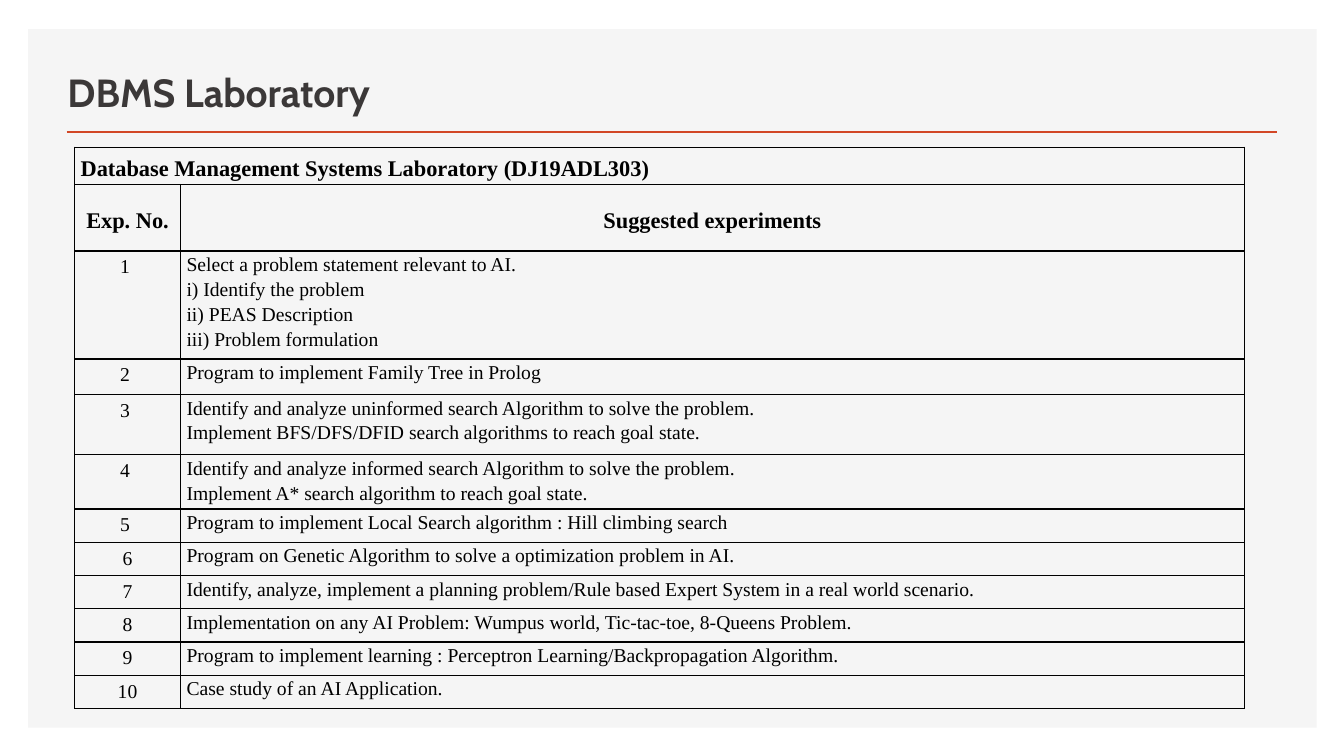
from dataclasses import dataclass

from lxml.etree import SubElement
from pptx import Presentation
from pptx.dml.color import RGBColor
from pptx.enum.shapes import MSO_CONNECTOR, MSO_SHAPE
from pptx.enum.text import MSO_ANCHOR, PP_ALIGN
from pptx.oxml.ns import qn
from pptx.util import Emu, Pt

SCALE = 9144
HUES = {"panel": "F5F5F5", "rule": "D24726", "title": "3B3838", "ink": "000000"}
SERIF = "Times New Roman"
PAD = 6


@dataclass
class Row:
    label: str
    lines: list[str]
    height: int = 33


ROWS = [
    Row("1 ", ["Select a problem statement relevant to AI.", "i) Identify the problem",
               "ii) PEAS Description", "iii) Problem formulation"], 60),
    Row("2 ", ["Program to implement Family Tree in Prolog"], 35),
    Row("3 ", ["Identify and analyze uninformed search Algorithm to solve the problem.",
               "Implement BFS/DFS/DFID search algorithms to reach goal state."], 60),
    Row("4 ", ["Identify and analyze informed search Algorithm to solve the problem.",
               "Implement A* search algorithm to reach goal state."]),
    Row("5 ", ["Program to implement Local Search algorithm : Hill climbing search"]),
    Row("6", ["Program on Genetic Algorithm to solve a optimization problem in AI."]),
    Row("7", ["Identify, analyze, implement a planning problem/Rule based Expert System "
              "in a real world scenario."]),
    Row("8", ["Implementation on any AI Problem: Wumpus world, Tic-tac-toe, 8-Queens Problem."]),
    Row("9", ["Program to implement learning : Perceptron Learning/Backpropagation Algorithm."]),
    Row("10", ["Case study of an AI Application."]),
]


def px(size: int) -> Emu:
    return Emu(size * SCALE)


def color(name: str) -> RGBColor:
    return RGBColor.from_string(HUES[name])


def write(frame, lines: list[str], *, size: int = 14, bold: bool = False, font: str = SERIF,
          hue: str = "ink", align=PP_ALIGN.LEFT, space: float = 1.0) -> None:
    for i, line in enumerate(lines):
        para = frame.paragraphs[0] if i == 0 else frame.add_paragraph()
        para.alignment = align
        para.line_spacing = space
        run = para.add_run()
        run.text = line
        run.font.size = Pt(size)
        run.font.bold = bold
        run.font.name = font
        run.font.color.rgb = color(hue)


def border(cell) -> None:
    props = cell._tc.get_or_add_tcPr()
    for side in ("a:lnL", "a:lnR", "a:lnT", "a:lnB"):
        line = SubElement(props, qn(side), w=str(Pt(1)))
        fill = SubElement(line, qn("a:solidFill"))
        SubElement(fill, qn("a:srgbClr"), val=HUES["ink"])


def style(cell, anchor) -> None:
    border(cell)
    cell.fill.background()
    cell.margin_left = cell.margin_right = px(PAD)
    cell.margin_top = cell.margin_bottom = 0
    cell.vertical_anchor = anchor


def frame(slide) -> None:
    panel = slide.shapes.add_shape(MSO_SHAPE.RECTANGLE, px(28), px(29), px(1278), px(693))
    panel.shadow.inherit = False
    panel.fill.solid()
    panel.fill.fore_color.rgb = color("panel")
    panel.line.fill.background()

    rule = slide.shapes.add_connector(MSO_CONNECTOR.STRAIGHT, px(66), px(131), px(1267), px(131))
    rule.line.color.rgb = color("rule")
    rule.line.width = Pt(2)
    SubElement(rule._element.spPr, qn("a:effectLst"))

    title = slide.shapes.add_textbox(px(57), px(61), px(1264), px(58)).text_frame
    title.word_wrap = True
    title.vertical_anchor = MSO_ANCHOR.BOTTOM
    write(title, ["DBMS Laboratory"], size=28, bold=True, font="Cabin", hue="title")


def chart(slide) -> None:
    tall = [37, 66] + [row.height for row in ROWS]
    wide = [105, 1055]
    table = slide.shapes.add_table(len(tall), len(wide), px(74), px(146),
                                   px(sum(wide)), px(sum(tall))).table
    table.first_row = table.horz_banding = False
    for col, width in zip(table.columns, wide):
        col.width = px(width)
    for i, height in enumerate(tall):
        table.rows[i].height = px(height)
        for cell in table.rows[i].cells:
            style(cell, MSO_ANCHOR.MIDDLE if i < 2 else MSO_ANCHOR.TOP)

    table.cell(0, 0).merge(table.cell(0, 1))
    write(table.cell(0, 0).text_frame, ["Database Management Systems Laboratory (DJ19ADL303)"],
          size=16, bold=True, space=1.25)
    for j, head in enumerate(["Exp. No.", "Suggested experiments"]):
        write(table.cell(1, j).text_frame, [head], size=16, bold=True,
              align=PP_ALIGN.CENTER, space=1.25)
    for i, row in enumerate(ROWS, 2):
        write(table.cell(i, 0).text_frame, [row.label], align=PP_ALIGN.CENTER, space=1.25)
        write(table.cell(i, 1).text_frame, row.lines, space=1.15)


def main() -> None:
    deck = Presentation()
    deck.slide_width, deck.slide_height = px(1333), px(750)
    slide = deck.slides.add_slide(deck.slide_layouts[6])
    frame(slide)
    chart(slide)
    deck.save("out.pptx")


if __name__ == "__main__":
    main()
